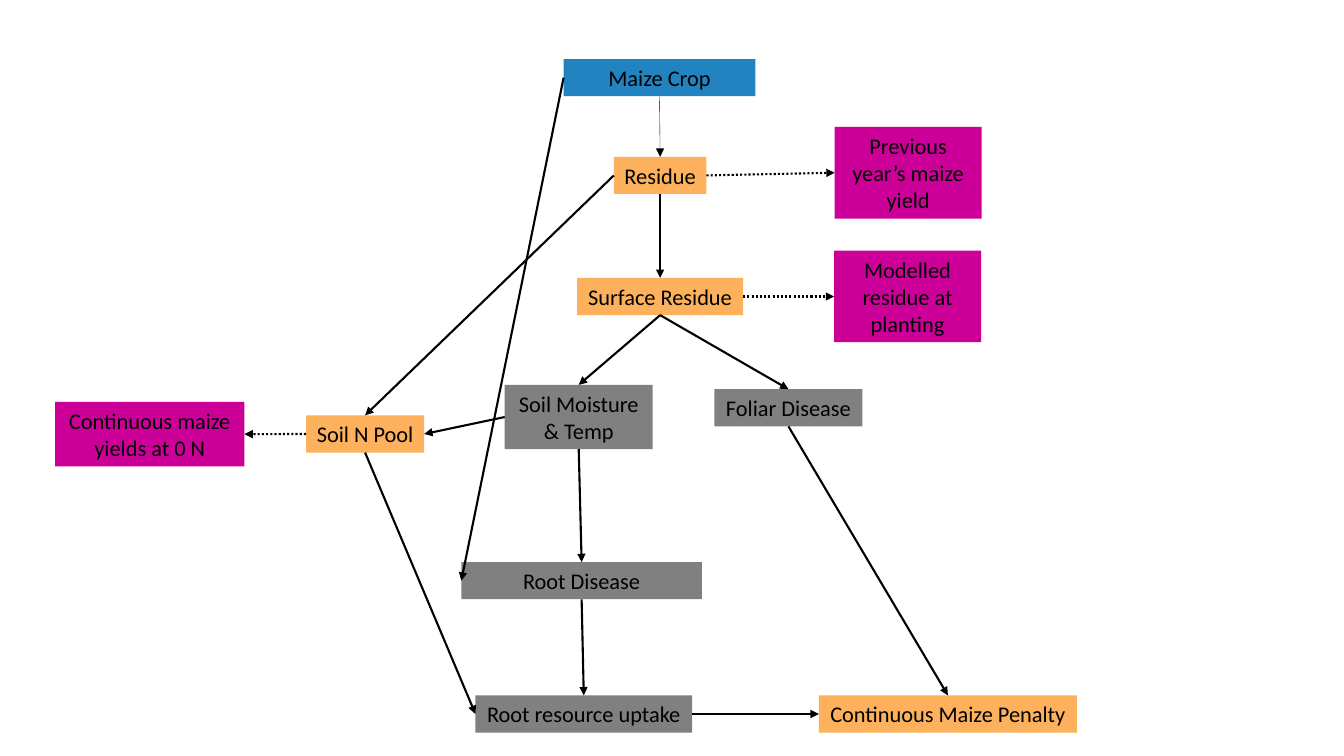
from lxml import etree
from pptx import Presentation
from pptx.dml.color import RGBColor
from pptx.enum.dml import MSO_LINE
from pptx.enum.shapes import MSO_CONNECTOR
from pptx.enum.text import MSO_ANCHOR, PP_ALIGN
from pptx.oxml.ns import qn
from pptx.util import Pt

STRAIGHT = MSO_CONNECTOR.STRAIGHT
DOTS = MSO_LINE.ROUND_DOT
CENTER = PP_ALIGN.CENTER
MIDDLE = MSO_ANCHOR.MIDDLE
TOP, LEFT, BOTTOM, RIGHT = range(4)

THEME = {
    "font": "Calibri", "size": 16, "ink": "000000",
    "crop": "2184C0", "pool": "FDB15C", "stress": "808080", "proxy": "CC0099",
    "thin": 0.25, "line": 1.5,
}
SLIDE = (960, 540)
PAD, LEAD = 7.2, 19.4

NODES = {
    "crop": ("Maize Crop", "crop", 402.6, 42.2, 137, 1),
    "residue": ("Residue", "pool", 438.5, 112, 66.1, 1),
    "surface": ("Surface Residue", "pool", 412.3, 198.5, 118.5, 1),
    "soil": ("Soil N Pool", "pool", 218.6, 296.7, 84.4, 1),
    "moist": ("Soil Moisture & Temp", "stress", 360.5, 274.9, 105.8, 2),
    "foliar": ("Foliar Disease", "stress", 510.3, 278, 105.8, 1),
    "root": ("Root Disease", "stress", 329.5, 401.5, 171.9, 1),
    "uptake": ("Root resource uptake", "stress", 339.6, 496.7, 154.8, 1),
    "loss": ("Continuous Maize Penalty", "pool", 584.9, 496.7, 184.4, 1),
    "yield": ("Previous year’s maize yield", "proxy", 596.2, 90.7, 105, 3),
    "model": ("Modelled residue at planting", "proxy", 595.8, 179.1, 105, 3),
    "zero": ("Continuous maize\nyields at 0 N", "proxy", 39.4, 287.1, 135.2, 2),
}

LINKS = [
    ("crop", BOTTOM, "residue", TOP, "thin"),
    ("crop", LEFT, "root", LEFT, "line"),
    ("residue", BOTTOM, "surface", TOP, "line"),
    ("residue", LEFT, "soil", TOP, "line"),
    ("surface", BOTTOM, "moist", TOP, "line"),
    ("surface", BOTTOM, "foliar", TOP, "line"),
    ("moist", LEFT, "soil", RIGHT, "line"),
    ("moist", BOTTOM, "root", TOP, "line"),
    ("root", BOTTOM, "uptake", TOP, "line"),
    ("soil", BOTTOM, "uptake", LEFT, "line"),
    ("uptake", RIGHT, "loss", LEFT, "line"),
    ("foliar", BOTTOM, "loss", TOP, "line"),
    ("residue", RIGHT, "yield", LEFT, "line"),
    ("surface", RIGHT, "model", LEFT, "line"),
    ("soil", LEFT, "zero", RIGHT, "line"),
]


def color(key):
    return RGBColor.from_string(THEME[key])


def write(frame, text, size="size", ink="ink", align=CENTER, wrap=False):
    frame.word_wrap = wrap
    frame.vertical_anchor = MIDDLE
    frame.text = text
    for para in frame.paragraphs:
        para.alignment = align
        font = para.runs[0].font
        font.name = THEME["font"]
        font.size = Pt(THEME[size])
        font.color.rgb = color(ink)


def box(slide, text, fill, left, top, width, rows):
    height = PAD + LEAD * rows
    shape = slide.shapes.add_textbox(Pt(left), Pt(top), Pt(width), Pt(height))
    shape.fill.solid()
    shape.fill.fore_color.rgb = color(fill)
    write(shape.text_frame, text, wrap=rows > 1 and "\n" not in text)
    return shape


def link(slide, start, out, end, into, weight, dotted):
    arrow = slide.shapes.add_connector(STRAIGHT, 0, 0, 0, 0)
    arrow.begin_connect(start, out)
    arrow.end_connect(end, into)
    arrow.line.color.rgb = color("ink")
    arrow.line.width = Pt(THEME[weight])
    if dotted:
        arrow.line.dash_style = DOTS
    props = arrow.line._get_or_add_ln()
    etree.SubElement(props, qn("a:tailEnd"), type="triangle")
    etree.SubElement(arrow._element.spPr, qn("a:effectLst"))


def main():
    deck = Presentation()
    deck.slide_width, deck.slide_height = map(Pt, SLIDE)
    slide = deck.slides.add_slide(deck.slide_layouts[6])
    boxes = {name: box(slide, *node) for name, node in NODES.items()}
    for start, out, end, into, weight in LINKS:
        dotted = NODES[end][1] == "proxy"
        link(slide, boxes[start], out, boxes[end], into, weight, dotted)
    deck.save("out.pptx")


if __name__ == "__main__":
    main()
